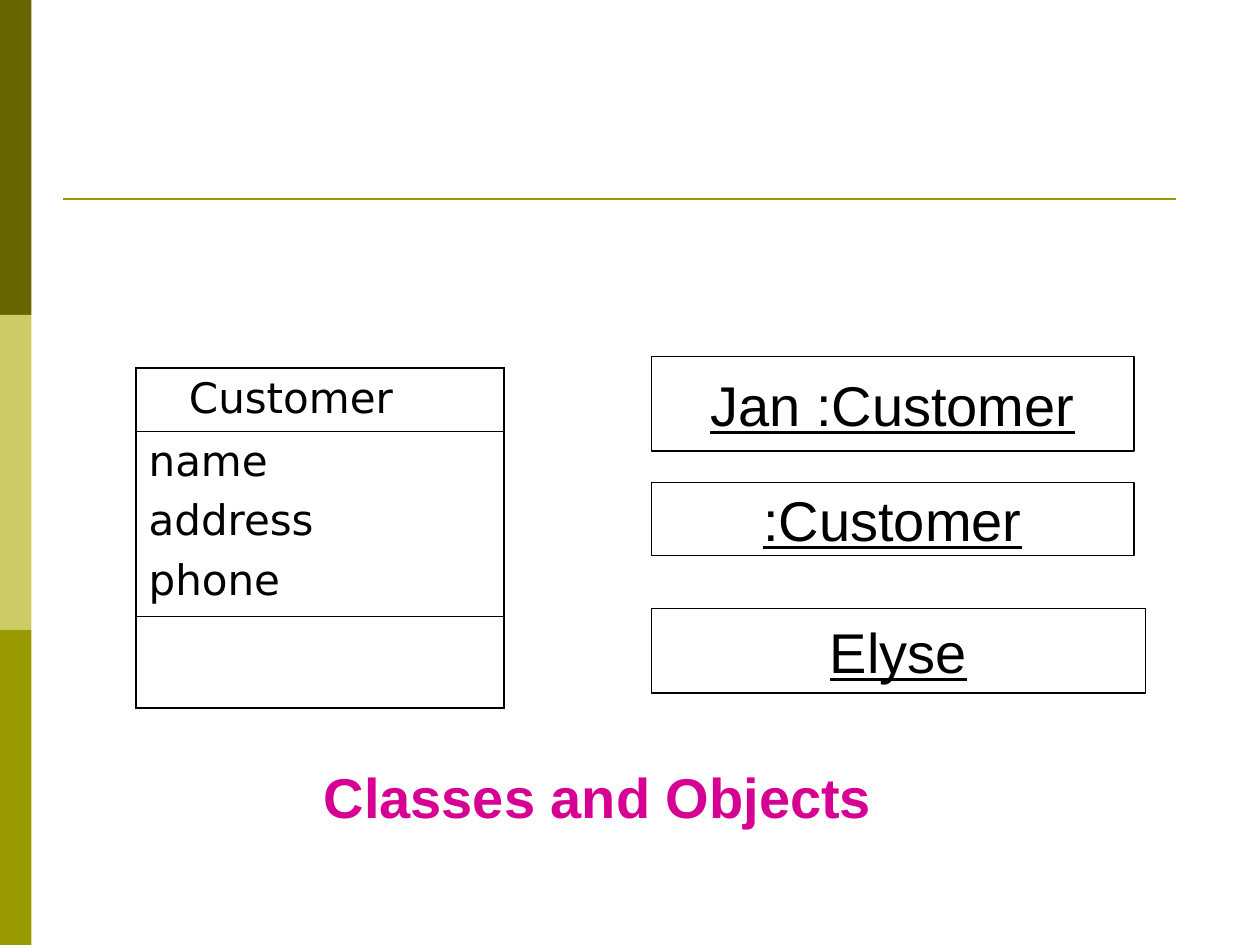
from lxml.etree import SubElement
from pptx import Presentation
from pptx.dml.color import RGBColor
from pptx.enum.shapes import MSO_CONNECTOR, MSO_SHAPE
from pptx.enum.text import MSO_ANCHOR, PP_ALIGN
from pptx.oxml import parse_xml
from pptx.oxml.ns import nsdecls, qn
from pptx.util import Inches, Pt

BLACK = "000000"
OLIVE = "999900"
THICK, THIN = 1.08, 0.45


def color(value):
    """Turn a hex string into a colour."""
    return RGBColor.from_string(value)


def write(frame, lines, name, size, shade, align=PP_ALIGN.LEFT, gap=0, **formats):
    """Write one paragraph per line, with a gap between them."""
    for index, line in enumerate(lines):
        para = frame.paragraphs[0] if index == 0 else frame.add_paragraph()
        para.alignment = align
        if index:
            para.space_before = Pt(gap)
        span = para.add_run()
        span.text = line
        span.font.color.rgb = color(shade)
        for key, value in {"name": name, "size": Pt(size), **formats}.items():
            setattr(span.font, key, value)


def add_rectangle(page, left, top, width, height, fill=None, line=None):
    """Add a rectangle with an optional fill and outline."""
    box = page.shapes.add_shape(
        MSO_SHAPE.RECTANGLE, Inches(left), Inches(top), Inches(width), Inches(height)
    )
    box.shadow.inherit = False
    if fill:
        box.fill.solid()
        box.fill.fore_color.rgb = color(fill)
    else:
        box.fill.background()
    if line:
        box.line.color.rgb = color(line)
        box.line.width = Pt(0.75)
    else:
        box.line.fill.background()
    return box


def add_rule(page, left, right, top):
    """Add the horizontal rule under the title area."""
    rule = page.shapes.add_connector(
        MSO_CONNECTOR.STRAIGHT, Inches(left), Inches(top), Inches(right), Inches(top)
    )
    rule.line.color.rgb = color(OLIVE)
    rule.line.width = Pt(1.5)
    SubElement(rule._element.spPr, qn("a:effectLst"))


def add_object(page, label, top, width, height):
    """Add an object box with an underlined label."""
    box = add_rectangle(page, 5.17, top, width, height, line=BLACK)
    frame = box.text_frame
    frame.word_wrap = False
    frame.vertical_anchor = MSO_ANCHOR.MIDDLE
    write(frame, [label], "Arial", 32, BLACK, PP_ALIGN.CENTER, underline=True)


def set_borders(cell, top, bottom):
    """Draw the four borders of a cell, widths in points."""
    properties = cell._tc.get_or_add_tcPr()
    widths = {"lnL": THICK, "lnR": THICK, "lnT": top, "lnB": bottom}
    for index, (side, width) in enumerate(widths.items()):
        border = parse_xml(
            f'<a:{side} {nsdecls("a")} w="{Pt(width)}"><a:solidFill>'
            f'<a:srgbClr val="{BLACK}"/></a:solidFill></a:{side}>'
        )
        properties.insert(index, border)


def add_class(page, compartments, heights):
    """Add a class diagram as a table with one row per compartment."""
    table = page.shapes.add_table(
        len(heights), 1, Inches(1.08), Inches(2.92), Inches(2.92), Inches(sum(heights))
    ).table
    table.first_row = table.horz_banding = False
    last = len(heights) - 1
    for index, (lines, height) in enumerate(zip(compartments, heights)):
        table.rows[index].height = Inches(height)
        cell = table.cell(index, 0)
        cell.fill.background()
        set_borders(cell, THIN if index else THICK, THICK if index == last else THIN)
        write(cell.text_frame, lines, "DejaVu Sans", 24, BLACK, gap=6)
    table.cell(0, 0).margin_left = Inches(0.42)


def add_caption(page, text):
    """Add the caption below the diagram."""
    box = page.shapes.add_textbox(Inches(2.08), Inches(6), Inches(5.33), Inches(0.64))
    box.text_frame.word_wrap = True
    write(box.text_frame, [text], "Arial", 32, "D60093", PP_ALIGN.CENTER, bold=True)


def main():
    """Build the slide and save it."""
    deck = Presentation()
    deck.slide_width, deck.slide_height = Inches(10), Inches(7.5)
    page = deck.slides.add_slide(deck.slide_layouts[6])
    for index, fill in enumerate(["666600", "CCCC66", OLIVE]):
        add_rectangle(page, 0, 2.5 * index, 0.25, 2.5, fill=fill)
    add_rule(page, 0.5, 9.33, 1.58)
    add_class(
        page, [["Customer"], ["name", "address", "phone"], []], [0.5, 1.47, 0.73]
    )
    add_caption(page, "Classes and Objects")
    add_object(page, "Jan :Customer", 2.83, 3.83, 0.75)
    add_object(page, ":Customer", 3.83, 3.83, 0.58)
    add_object(page, "Elyse", 4.83, 3.92, 0.67)
    deck.save("out.pptx")


if __name__ == "__main__":
    main()
